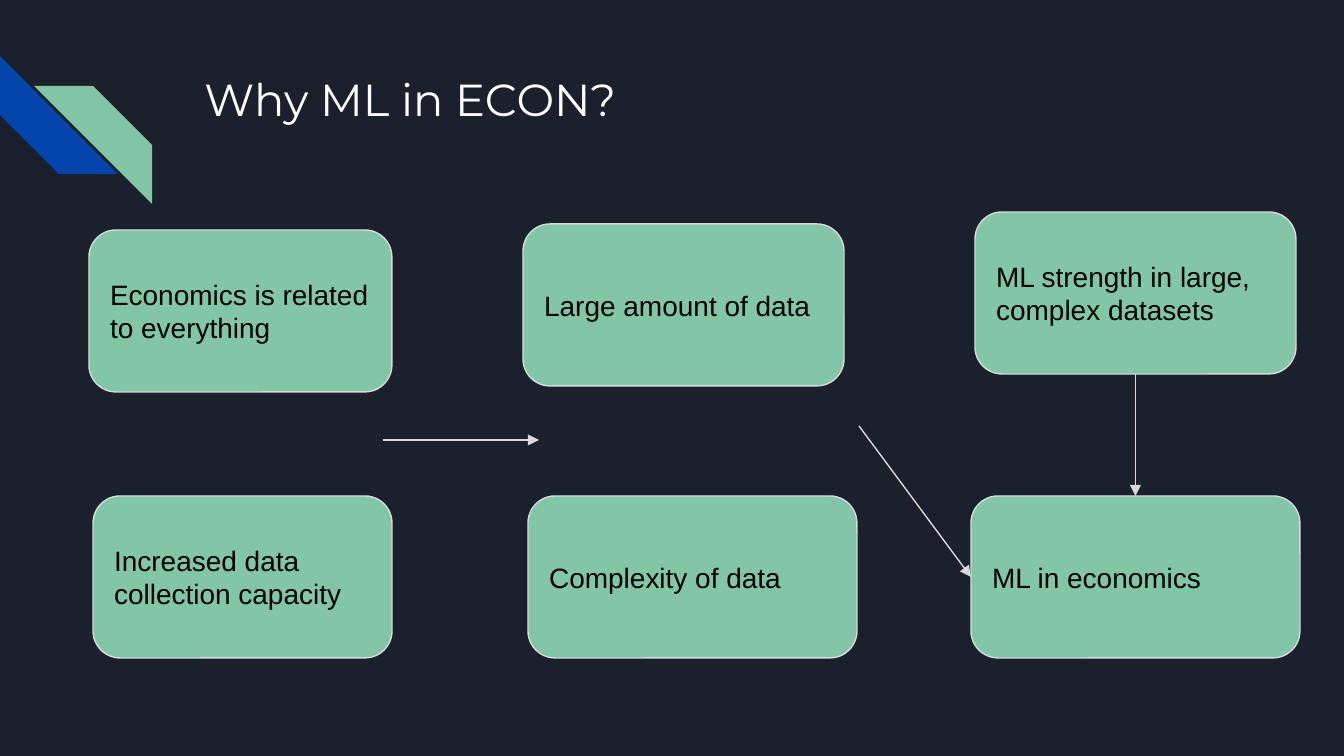
import pptx
import pptx.util
import pptx.dml.color
import pptx.enum.shapes
import pptx.enum.text
import pptx.oxml
import pptx.oxml.ns

RGB = pptx.dml.color.RGBColor
SHAPE = pptx.enum.shapes.MSO_SHAPE
ANCHOR = pptx.enum.text.MSO_ANCHOR
ALIGN = pptx.enum.text.PP_ALIGN
Pt = pptx.util.Pt

NAVY = RGB(0x1B, 0x21, 0x2C)
BLUE = RGB(0x01, 0x45, 0xAC)
GREEN = RGB(0x82, 0xC7, 0xA5)
GREY = RGB(0xD9, 0xD9, 0xD9)
WHITE = RGB(0xFF, 0xFF, 0xFF)
BLACK = RGB(0x00, 0x00, 0x00)

SLIDE_W, SLIDE_H = 1344, 756
EMU_PER_PX = 914400 * 10 / SLIDE_W
TOP, LEFT, BOTTOM = 0, 1, 2
BOX_H, LOWER_ROW = 162, 496


def px(*lengths):
    return [round(length * EMU_PER_PX) for length in lengths]


def write(shape, text, size, font, color, anchor):
    frame = shape.text_frame
    inset = pptx.util.Inches(0.1)
    settings = dict(word_wrap=True, vertical_anchor=anchor,
                    auto_size=pptx.enum.text.MSO_AUTO_SIZE.NONE,
                    margin_left=inset, margin_right=inset,
                    margin_top=inset, margin_bottom=inset)
    for name, value in settings.items():
        setattr(frame, name, value)
    paragraph = frame.paragraphs[0]
    paragraph.alignment = ALIGN.LEFT
    run = paragraph.add_run()
    run.text = text
    for name, value in dict(size=Pt(size), name=font, bold=False).items():
        setattr(run.font, name, value)
    run.font.color.rgb = color


def add_filled(slide, kind, box, fill):
    shape = slide.shapes.add_shape(kind, *px(*box))
    shape.shadow.inherit = False
    shape.fill.solid()
    shape.fill.fore_color.rgb = fill
    return shape


def add_corner_stripes(slide, left, top, side):
    stripes = [(0, 0, 270, BLUE), (34, 30, 90, GREEN)]
    for dx, dy, rotation, color in stripes:
        stripe = add_filled(slide, SHAPE.DIAGONAL_STRIPE,
                            (left + dx, top + dy, side, side), color)
        stripe.adjustments[0] = 0.5
        stripe.rotation = rotation
        stripe.line.fill.background()


def add_title(slide, box, text):
    title = slide.shapes.title
    title.left, title.top, title.width, title.height = px(*box)
    write(title, text, 24, "Montserrat", WHITE, ANCHOR.TOP)


def add_idea(slide, left, top, width, text):
    idea = add_filled(slide, SHAPE.ROUNDED_RECTANGLE,
                      (left, top, width, BOX_H), GREEN)
    idea.adjustments[0] = 0.167
    idea.line.color.rgb = GREY
    idea.line.width = Pt(0.75)
    write(idea, text, 15, "Arial", BLACK, ANCHOR.MIDDLE)
    return idea


def add_arrow(slide, start, end):
    arrow = slide.shapes.add_connector(
        pptx.enum.shapes.MSO_CONNECTOR.STRAIGHT, *px(*start, *end))
    arrow.line.color.rgb = GREY
    arrow.line.width = Pt(0.75)
    head = pptx.oxml.parse_xml(
        f'<a:tailEnd {pptx.oxml.ns.nsdecls("a")} type="triangle"/>')
    arrow.line._get_or_add_ln().append(head)
    # An empty effect list removes the theme shadow
    arrow._element.spPr.append(pptx.oxml.parse_xml(
        f'<a:effectLst {pptx.oxml.ns.nsdecls("a")}/>'))
    return arrow


def add_flow(slide):
    # Causes, data and method, from left to right
    add_idea(slide, 89, 230, 303, "Economics is related to everything")
    add_idea(slide, 93, LOWER_ROW, 299, "Increased data collection capacity")
    add_idea(slide, 523, 224, 321, "Large amount of data")
    add_idea(slide, 528, LOWER_ROW, 329, "Complexity of data")
    strength = add_idea(slide, 975, 212, 321,
                        "ML strength in large, complex datasets")
    outcome = add_idea(slide, 971, LOWER_ROW, 329, "ML in economics")

    # Arrows between the stages
    data_to_outcome = add_arrow(slide, (859, 426), (971, 577))
    data_to_outcome.end_connect(outcome, LEFT)
    add_arrow(slide, (383, 440), (539, 440))
    strength_to_outcome = add_arrow(slide, (1135, 374), (1135, 496))
    strength_to_outcome.begin_connect(strength, BOTTOM)
    strength_to_outcome.end_connect(outcome, TOP)


def main():
    deck = pptx.Presentation()
    deck.slide_width, deck.slide_height = px(SLIDE_W, SLIDE_H)
    slide = deck.slides.add_slide(deck.slide_layouts.get_by_name("Title Only"))
    slide.background.fill.solid()
    slide.background.fill.fore_color.rgb = NAVY

    add_corner_stripes(slide, 0, 56, 118)
    add_title(slide, (191, 58, 1035, 134), "Why ML in ECON?")
    add_flow(slide)
    deck.save("out.pptx")


if __name__ == "__main__":
    main()
